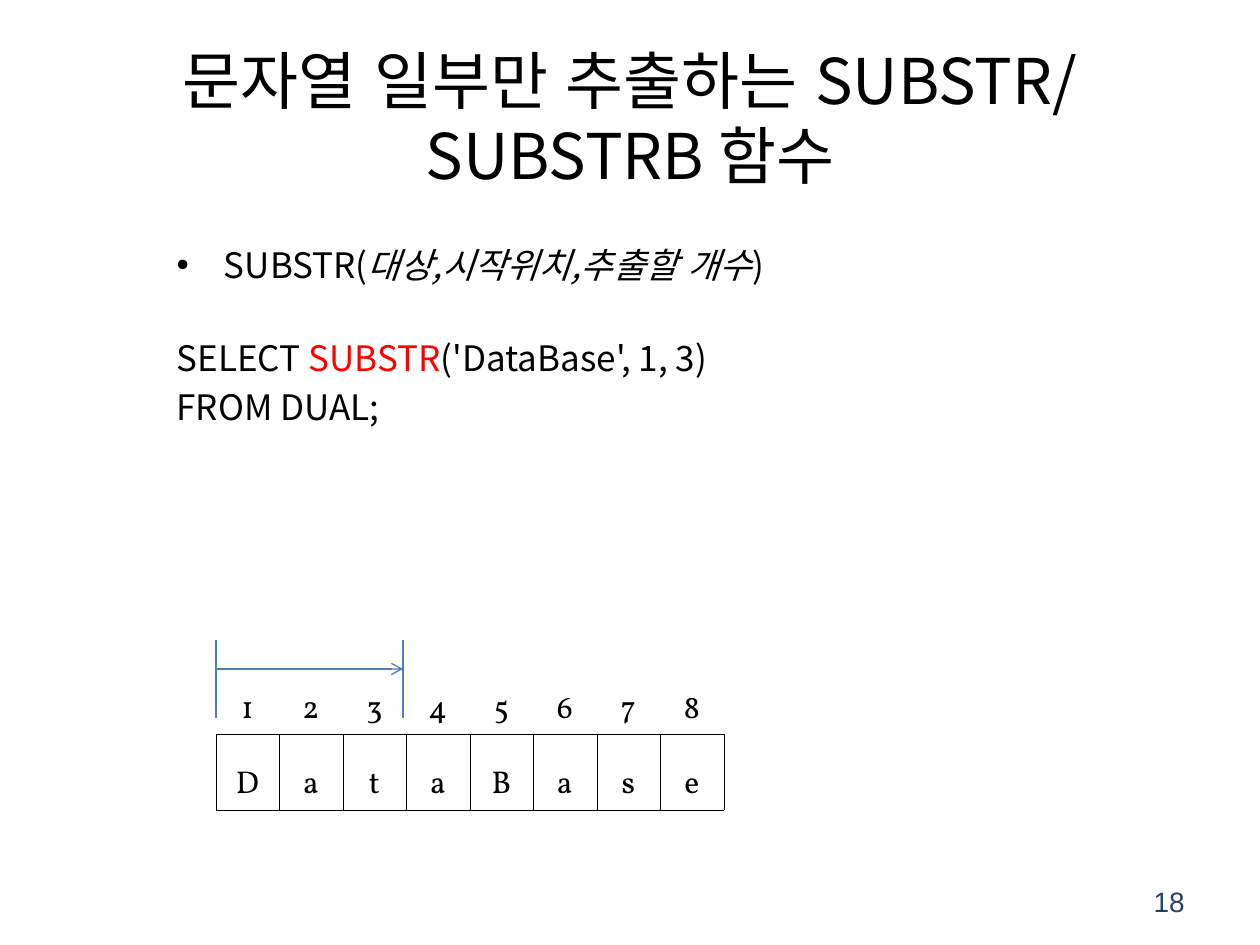
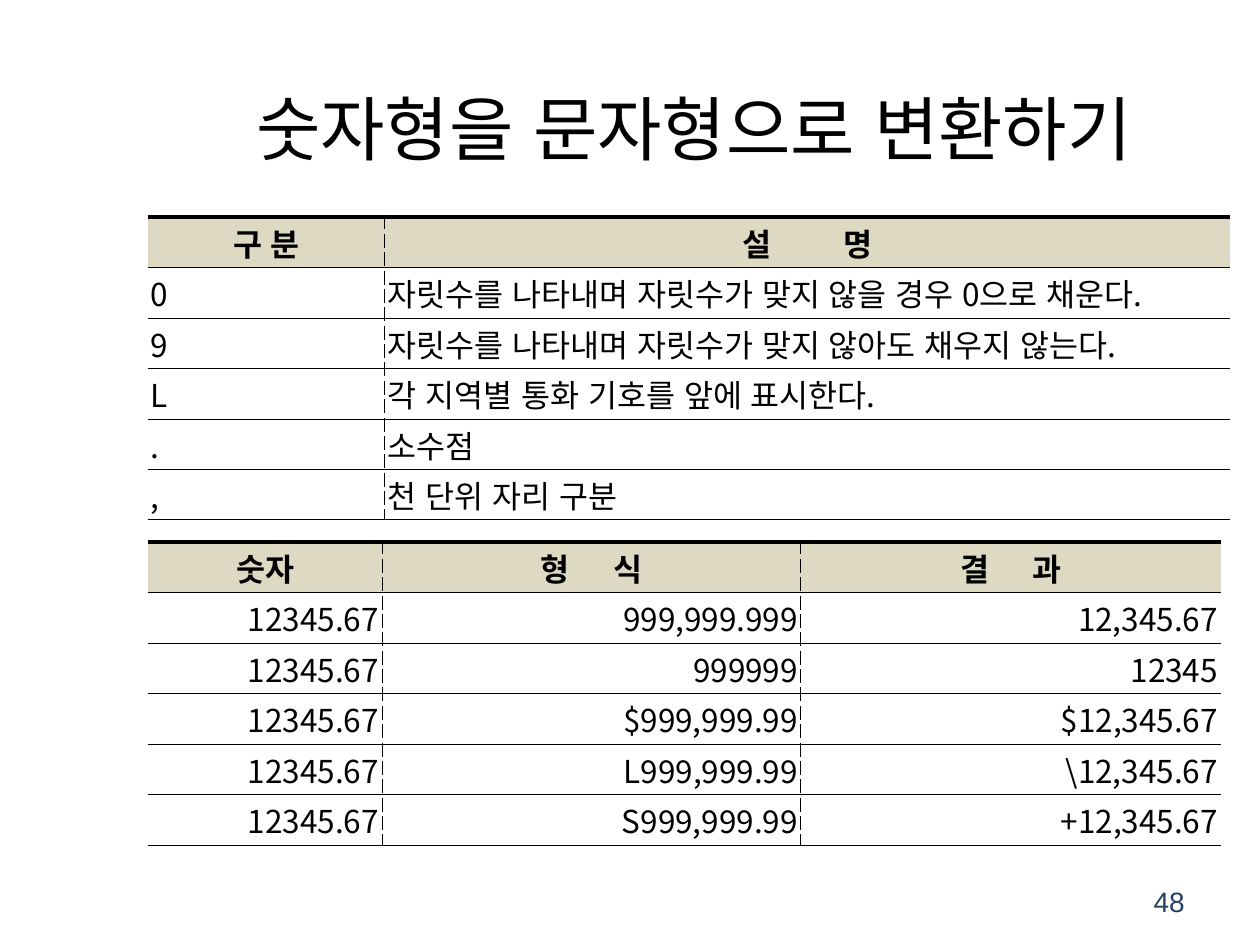
from lxml import etree
from pptx import Presentation
from pptx import util as u
from pptx.dml.color import RGBColor
from pptx.enum import shapes, text
from pptx.oxml.ns import qn

PX = 7257  # EMU per px, 126 px to the inch
SANS, SERIF, NUMBER_FONT = "Noto Sans CJK KR", "Vollkorn", "Arial"
COLORS = {"ink": "000000", "keyword": "FF0000", "page": "254061",
          "header": "DDD9C3", "cell": "FFFFFF", "marker": "4B7EBC"}
PLAIN_TABLE = "{2D5ABB26-0587-4C30-8999-92F81FD0307C}"
CELL_INSET = 3
HEADER_GAPS = {"설 명": 18, "형 식": 10, "결 과": 10}
ALIGN = text.PP_ALIGN


def write(paragraph, words, size=20, font=SANS, color="ink", bold=False,
          italic=False, tracking=0):
    """Append one formatted run; tracking is extra letter spacing in points."""
    run = paragraph.add_run()
    run.text = words
    run.font.size = u.Pt(size)
    run.font.name = font
    run.font.bold = bold
    run.font.italic = italic
    run.font.color.rgb = RGBColor.from_string(COLORS[color])
    properties = run.font._element
    properties.set("lang", "ko-KR")
    etree.SubElement(properties, qn("a:ea"), typeface=font)
    if tracking:
        properties.set("spc", str(tracking * 100))


def add_grid(slide, left, top, widths, height, rows, border_rule, aligns,
             font=SANS, line_spacing=1.0, header=True):
    """Add a table; border_rule(row, column) gives {edge: (points, dash)}."""
    frame = slide.shapes.add_table(
        len(rows), len(widths), left * PX, top * PX,
        sum(widths) * PX, height * PX)
    table = frame.table
    table.first_row = header
    table.horz_banding = False
    table._tbl.tblPr.find(qn("a:tableStyleId")).text = PLAIN_TABLE
    for column, width in zip(table.columns, widths):
        column.width = width * PX
    for row_index, row in enumerate(rows):
        table.rows[row_index].height = height * PX // len(rows)
        is_header = header and row_index == 0
        for column_index, words in enumerate(row):
            cell = table.cell(row_index, column_index)
            cell.margin_left = cell.margin_right = CELL_INSET * PX
            cell.margin_top = cell.margin_bottom = CELL_INSET * PX
            cell.vertical_anchor = text.MSO_ANCHOR.MIDDLE
            paragraph = cell.text_frame.paragraphs[0]
            paragraph.alignment = ALIGN.CENTER if is_header else aligns
            paragraph.line_spacing = line_spacing
            gap = HEADER_GAPS.get(words, 0)
            parts = [(words[:-1], gap), (words[-1], 0)] if gap else [(words, 0)]
            for part, tracking in parts:
                write(paragraph, part, size=18, font=font, bold=is_header,
                      tracking=tracking)

            borders = border_rule(row_index, column_index)
            cell_properties = cell._tc.get_or_add_tcPr()
            for edge in "LRTB":
                points, dash = borders.get(edge, (0, None))
                line = etree.SubElement(cell_properties, qn(f"a:ln{edge}"),
                                        w=str(u.Pt(points)))
                if not points:
                    etree.SubElement(line, qn("a:noFill"))
                    continue
                fill = etree.SubElement(line, qn("a:solidFill"))
                etree.SubElement(fill, qn("a:srgbClr"), val=COLORS["ink"])
                etree.SubElement(line, qn("a:prstDash"), val=dash)
            if header:
                cell.fill.solid()
                cell.fill.fore_color.rgb = RGBColor.from_string(
                    COLORS["header" if is_header else "cell"])
            else:
                cell.fill.background()


presentation = Presentation()
presentation.slide_width = u.Inches(10)
presentation.slide_height = u.Inches(7.5)

# Title and page number of every slide
slide_heads = [
    # layout, title lines, title box, size, page
    (1, ["문자열 일부만 추출하는 SUBSTR/", "SUBSTRB 함수"], (63, 38, 1134, 158), 36, 18),
    (5, ["숫자형을 문자형으로 변환하기"], (174, 48, 1040, 159), 40, 48),
]
for layout, title_lines, box, size, page in slide_heads:
    slide = presentation.slides.add_slide(presentation.slide_layouts[layout])
    title = slide.shapes.title
    title.left, title.top, title.width, title.height = (n * PX for n in box)
    title.text_frame.auto_size = text.MSO_AUTO_SIZE.NONE
    title.text_frame.vertical_anchor = text.MSO_ANCHOR.MIDDLE
    paragraph = title.text_frame.paragraphs[0]
    paragraph.alignment = ALIGN.CENTER
    for index, words in enumerate(title_lines):
        if index:
            paragraph.add_line_break()
            line_break = paragraph._p.findall(qn("a:br"))[-1]
            etree.SubElement(line_break, qn("a:rPr"), sz=str(size * 100))
        write(paragraph, words, size=size)

    page_box = slide.shapes.add_textbox(903 * PX, 876 * PX, 294 * PX, 50 * PX)
    page_box.text_frame.word_wrap = True
    page_box.text_frame.vertical_anchor = text.MSO_ANCHOR.MIDDLE
    paragraph = page_box.text_frame.paragraphs[0]
    paragraph.alignment = ALIGN.RIGHT
    write(paragraph, str(page), size=16, font=NUMBER_FONT, color="page")

substr_slide, format_slide = presentation.slides

# SUBSTR: syntax and query
body = substr_slide.placeholders[1]
body.left, body.top, body.width, body.height = (
    n * PX for n in (164, 237, 1027, 305))
body.text_frame.auto_size = text.MSO_AUTO_SIZE.NONE
body_lines = [
    # space before, bulleted, runs
    (2, True, [("SUBSTR(", {}), ("대상,시작위치,추출할 개수", {"italic": True}), (")", {})]),
    (29, False, [("SELECT ", {}), ("SUBSTR", {"color": "keyword"}),
                 ("('DataBase', 1, 3)", {})]),
    (4, False, [("FROM DUAL;", {})]),
]
for index, (space_before, bulleted, runs) in enumerate(body_lines):
    frame = body.text_frame
    paragraph = frame.add_paragraph() if index else frame.paragraphs[0]
    paragraph.space_before = u.Pt(space_before)
    if not bulleted:
        etree.SubElement(paragraph._p.get_or_add_pPr(), qn("a:buNone"))
    for words, formatting in runs:
        write(paragraph, words, **formatting)

# SUBSTR: numbered letters, with the extracted span marked above
letters = "DataBase"
count = len(letters)
letters_width = 508
edges = [letters_width * i // count for i in range(count + 1)]
letter_widths = [end - start for start, end in zip(edges, edges[1:])]
add_grid(
    substr_slide, 216, 659, letter_widths, 151,
    [[str(i + 1) for i in range(count)], list(letters)],
    lambda row, column: dict.fromkeys("LRTB" if row else "B", (0.28, "solid")),
    ALIGN.CENTER, font=SERIF, line_spacing=1.6, header=False)

span_start, span_end = 216, 403
span_lines = [
    (span_start, 640, span_start, 718, False),
    (span_start, 669, span_end, 669, True),
    (span_end, 640, span_end, 718, False),
]
for x1, y1, x2, y2, has_arrow in span_lines:
    connector = substr_slide.shapes.add_connector(
        shapes.MSO_CONNECTOR.STRAIGHT, x1 * PX, y1 * PX, x2 * PX, y2 * PX)
    connector.line.color.rgb = RGBColor.from_string(COLORS["marker"])
    connector.line.width = u.Pt(0.75)
    if has_arrow:
        etree.SubElement(connector.line._get_or_add_ln(), qn("a:tailEnd"),
                         type="arrow")
    etree.SubElement(connector._element.spPr, qn("a:effectLst"))

# Number formats: symbols, then examples
symbols = [
    ("구 분", "설 명"),
    ("0", "자릿수를 나타내며 자릿수가 맞지 않을 경우 0으로 채운다."),
    ("9", "자릿수를 나타내며 자릿수가 맞지 않아도 채우지 않는다."),
    ("L", "각 지역별 통화 기호를 앞에 표시한다."),
    (".", "소수점"),
    (",", "천 단위 자리 구분"),
]
examples = [("숫자", "형 식", "결 과")] + [
    ("12345.67", pattern, result) for pattern, result in [
        ("999,999.999", "12,345.67"),
        ("999999", "12345"),
        ("$999,999.99", "$12,345.67"),
        ("L999,999.99", "\\12,345.67"),
        ("S999,999.99", "+12,345.67"),
    ]]
for top, widths, rows, aligns in [
        (217, (237, 845), symbols, ALIGN.JUSTIFY),
        (542, (234, 419, 420), examples, ALIGN.RIGHT)]:
    last_column = len(widths) - 1

    add_grid(
        format_slide, 148, top, widths, 303, rows,
        lambda row, column: {
            "L": (0.56 if column else 0, "dash"),
            "R": (0.56 if column < last_column else 0, "dash"),
            "T": (0.25 if row else 1.98, "solid"),
            "B": (0.25, "solid")},
        aligns)

presentation.save("out.pptx")
